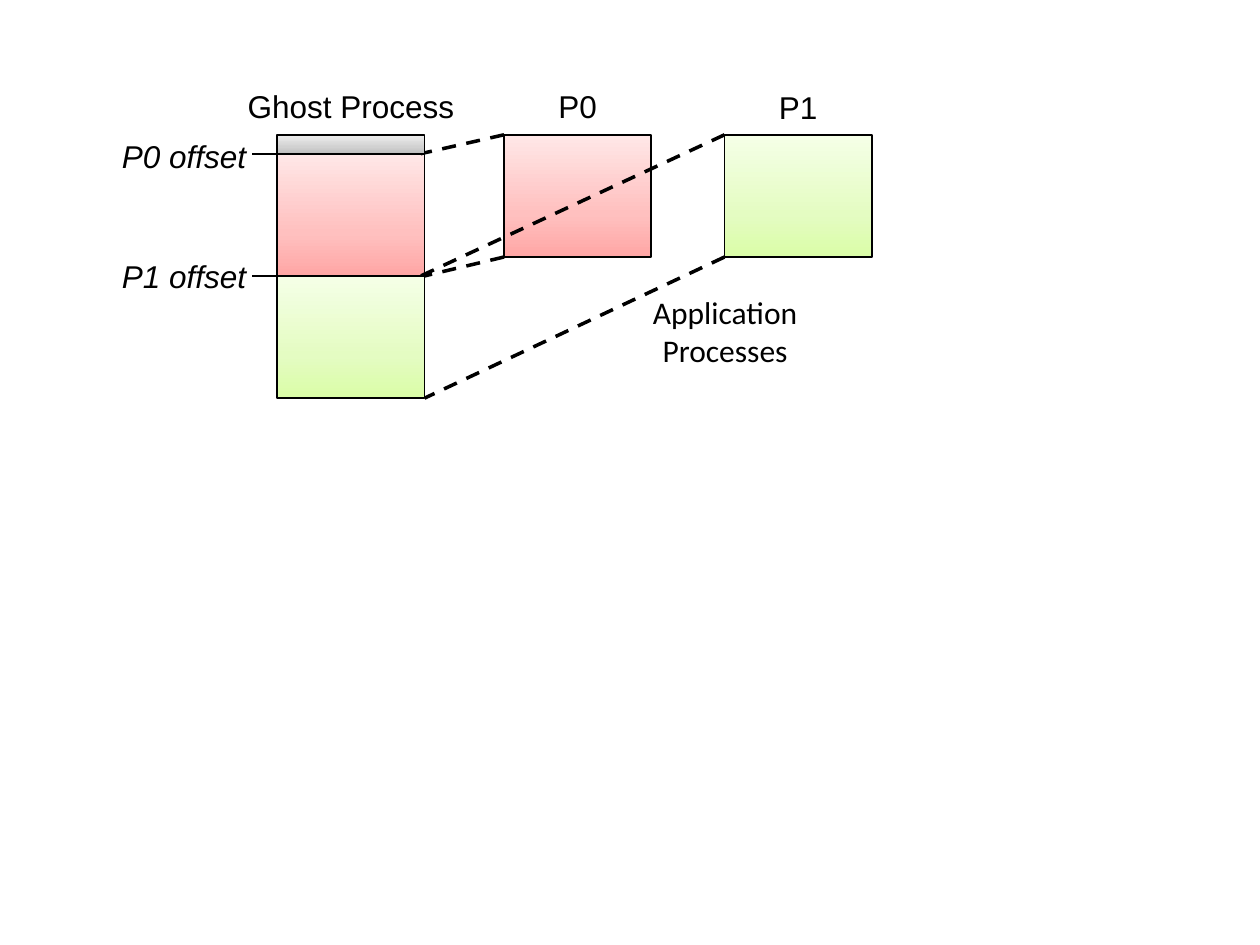
import copy
import pptx
import pptx.util
import pptx.dml.color
import pptx.enum.dml
import pptx.enum.shapes
import pptx.enum.text
import pptx.oxml.ns
import pptx.oxml.xmlchemy

Inch = pptx.util.Inches
Pt = pptx.util.Pt
Align = pptx.enum.text.PP_ALIGN

INK = "000000"
FILLS = {
    "grey": ("BDBDBD", "D1D1D1", "EEEEEE"),
    "red": ("FFA6A5", "FFC0BF", "FFE7E7"),
    "green": ("DAFDA7", "E4FCC2", "F5FFE7"),
}
STOPS = (0, 0.35, 1)

# Columns: ghost process, P0, P1. Rows: head, P0 block, P1 block, end.
GHOST, P0, P1 = 2.2, 4, 5.75
WIDE, HIGH, HEAD = 1.17, 0.97, 0.15
TOP = 1.07
ROW0 = TOP + HEAD
ROW1 = ROW0 + HIGH
END = ROW1 + HIGH
LOW = TOP + HIGH
EDGE = GHOST + WIDE
LAP = 0.03

BACK = [
    (GHOST, ROW0, HIGH, "red"),
    (P0, TOP, HIGH, "red"),
    (P1, TOP, HIGH, "green"),
]
FRONT = [
    (GHOST, ROW1, HIGH, "green"),
    (GHOST, TOP, HEAD, "grey"),
]
MAPS = [
    (P0, TOP, EDGE - LAP, ROW0),
    (P0, LOW, EDGE, ROW1),
    (P1, TOP, EDGE - LAP, ROW1),
    (P1, LOW, EDGE, END),
]
TICKS = [(ROW0, 1), (ROW1, 1.5)]
HEADS = [
    ("Ghost Process", GHOST, 0.64, 1.92),
    ("P0", P0, 0.64, 1.55),
    ("P1", P1, 0.65, 1.55),
]
OFFSETS = [("P0 offset", 1.04), ("P1 offset", 1.99)]

deck = pptx.Presentation()
deck.slide_width, deck.slide_height = Inch(10), Inch(7.5)
slide = deck.slides.add_slide(deck.slide_layouts[6])


def color(name):
    return pptx.dml.color.RGBColor.from_string(name)


def box(left, top, high, fill):
    shape = slide.shapes.add_shape(
        pptx.enum.shapes.MSO_SHAPE.RECTANGLE,
        Inch(left), Inch(top), Inch(WIDE), Inch(high))
    shape.shadow.inherit = False
    shape.line.color.rgb = color(INK)
    shape.line.width = Pt(1)
    shape.fill.gradient()
    shape.fill.gradient_angle = 90
    stops = shape._element.spPr.find(".//" + pptx.oxml.ns.qn("a:gsLst"))
    stops.append(copy.deepcopy(stops[-1]))
    for stop, place, tint in zip(shape.fill.gradient_stops, STOPS, FILLS[fill]):
        stop.position = place
        stop.color.rgb = color(tint)


def line(x1, y1, x2, y2, width, dash=False):
    link = slide.shapes.add_connector(
        pptx.enum.shapes.MSO_CONNECTOR.STRAIGHT,
        Inch(x1), Inch(y1), Inch(x2), Inch(y2))
    link.line.color.rgb = color(INK)
    link.line.width = Pt(width)
    if dash:
        link.line.dash_style = pptx.enum.dml.MSO_LINE.DASH
    link._element.spPr.append(pptx.oxml.xmlchemy.OxmlElement("a:effectLst"))


def text(words, left, top, wide, high=0.4, font="Arial", align=Align.CENTER,
         slant=False, wrap=False, inset=0.1):
    shape = slide.shapes.add_textbox(
        Inch(left), Inch(top), Inch(wide), Inch(high))
    frame = shape.text_frame
    frame.word_wrap = wrap
    frame.margin_left = frame.margin_right = Inch(inset)
    para = frame.paragraphs[0]
    para.text = words
    para.alignment = align
    para.font.name = font
    para.font.size = Pt(18)
    para.font.italic = slant
    para.font.color.rgb = color(INK)


for item in BACK:
    box(*item)
for ends in MAPS:
    line(*ends, 2, dash=True)
for item in FRONT:
    box(*item)
for y, width in TICKS:
    line(GHOST - 0.2, y, GHOST + 0.05, y, width)
for words, left, top, wide in HEADS:
    text(words, left + (WIDE - wide) / 2, top, wide)
for words, top in OFFSETS:
    text(words, 0.87, top, 1.2, align=Align.LEFT, slant=True)
text("Application Processes", 5.08, 2.28, 1.35, 0.71,
     font="Calibri", wrap=True, inset=0.05)

deck.save("out.pptx")
